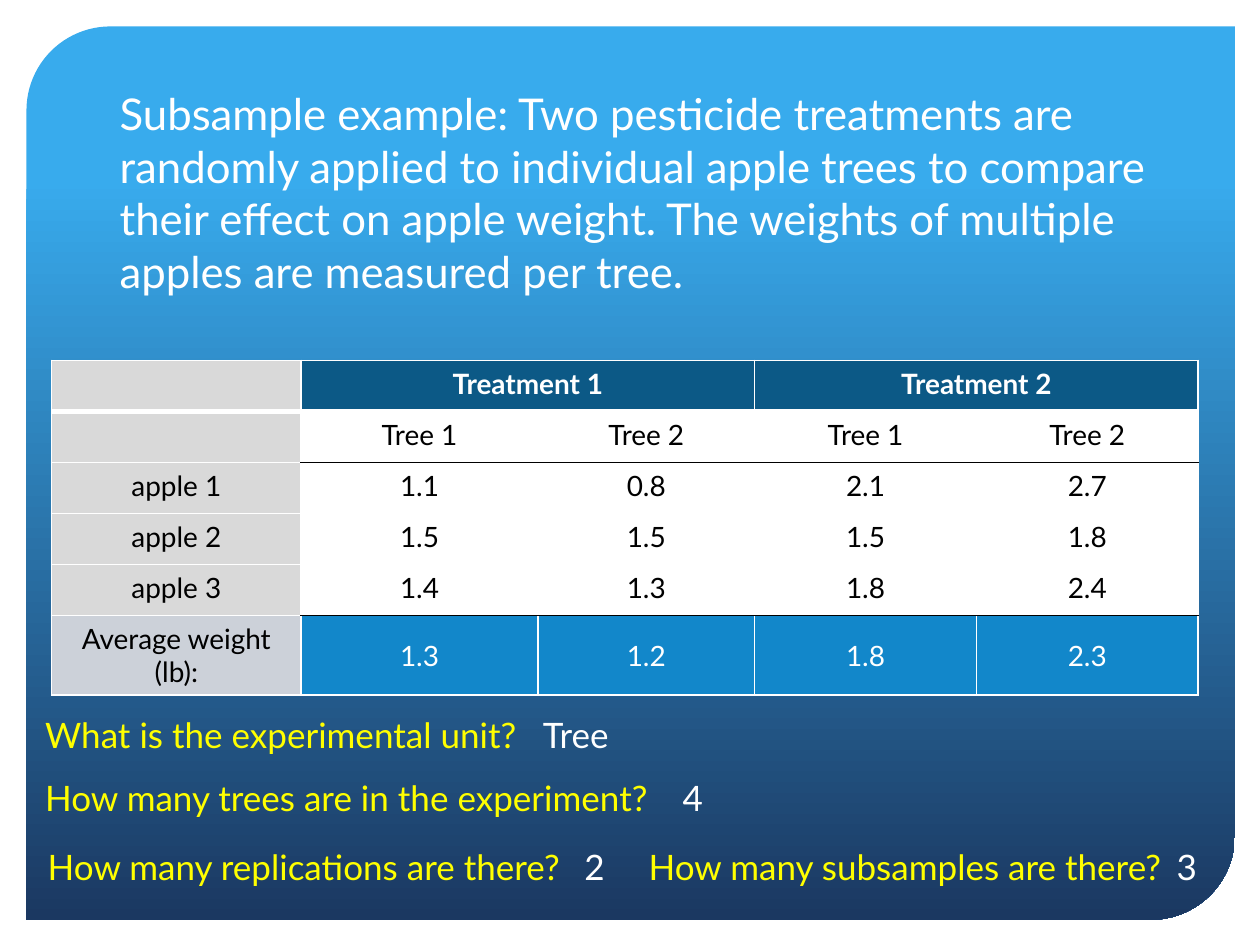
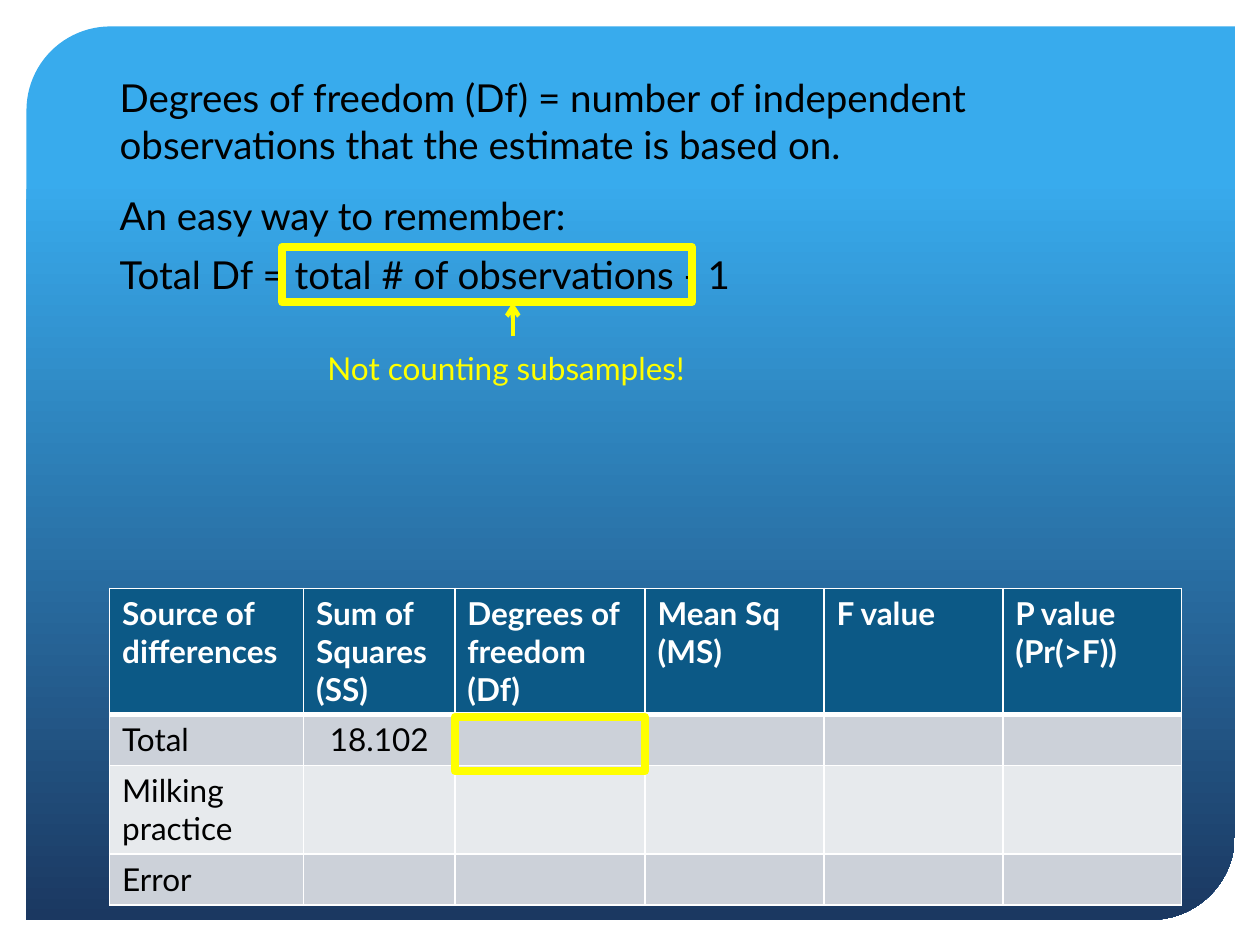
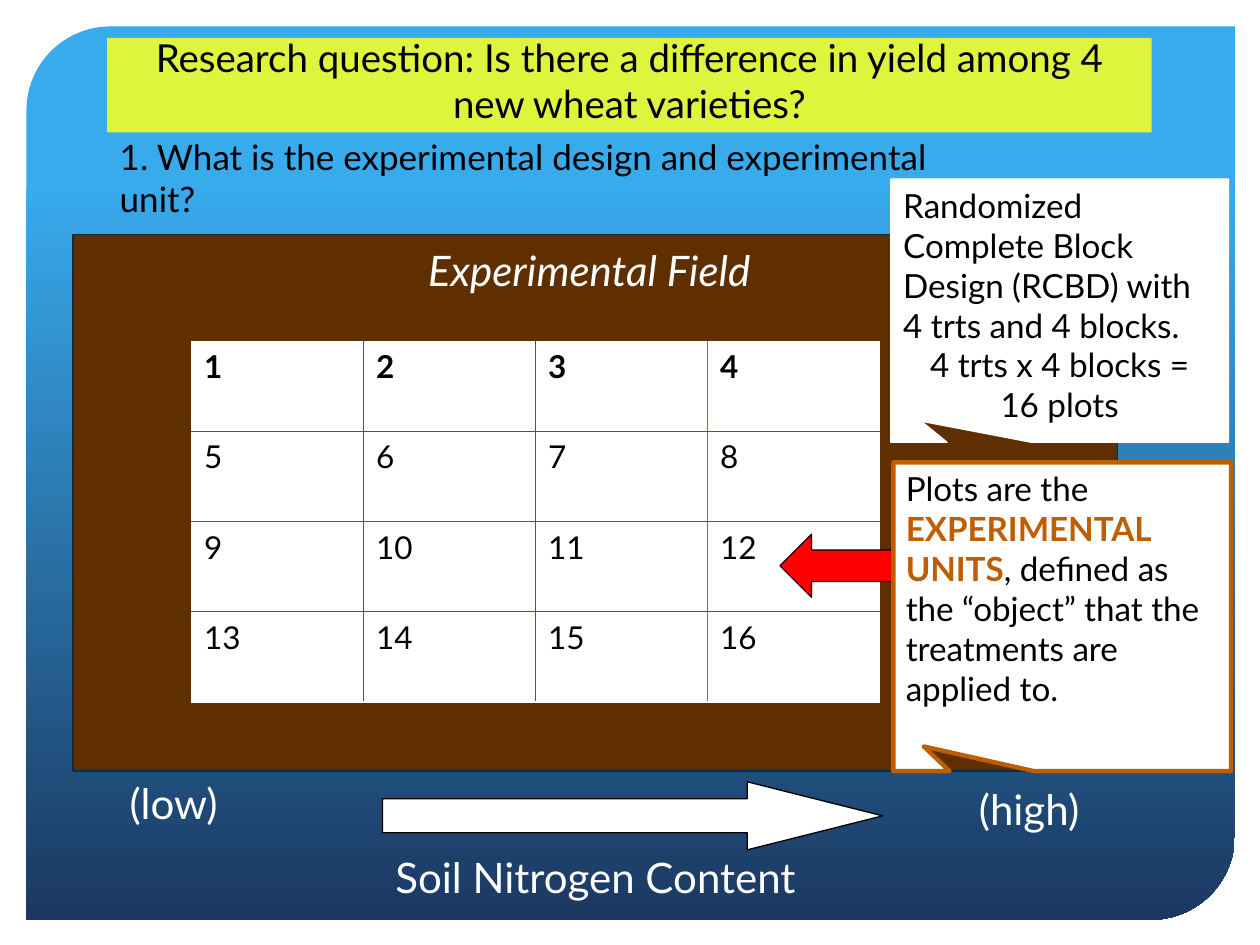
from dataclasses import dataclass

from lxml.etree import SubElement
from pptx import Presentation
from pptx.dml.color import RGBColor
from pptx.enum.shapes import MSO_CONNECTOR, MSO_SHAPE
from pptx.enum.text import MSO_ANCHOR, MSO_AUTO_SIZE, PP_ALIGN
from pptx.oxml.ns import qn
from pptx.util import Inches, Pt


@dataclass(frozen=True)
class Theme:
    font: str = "Lato"
    white: str = "FFFFFF"
    black: str = "000000"
    yellow: str = "FFFF00"
    red: str = "FF0000"
    lime: str = "DDF53D"
    sky: str = "38ABED"
    navy: str = "1B3861"
    header: str = "0C5986"
    average: str = "1287CA"
    label: str = "D9D9D9"
    band_dark: str = "CCD1D9"
    band_light: str = "E7EAED"
    soil: str = "602F00"
    soil_edge: str = "062D43"
    plot_edge: str = "8F4600"
    orange: str = "BF5E00"
    intro: float = 25
    caption: float = 24
    title: float = 22
    question: float = 20
    callout: float = 19
    table: float = 18
    small_table: float = 16


T = Theme()


@dataclass(frozen=True)
class Box:
    x: float
    y: float
    w: float
    h: float

    def sub(self, dx, dy, w, h):
        return Box(self.x + dx, self.y + dy, w, h)

    def emu(self):
        return [Inches(v) for v in (self.x, self.y, self.w, self.h)]


PANEL = Box(0.21, 0.21, 9.59, 7.09)


def rgb(value):
    return RGBColor.from_string(value)


def write(tf, text, size=T.question, color=T.white, bold=False, italic=False,
          align=PP_ALIGN.LEFT, before=0):
    p = tf.add_paragraph() if tf.text else tf.paragraphs[0]
    p.alignment = align
    p.space_before = Pt(before)
    runs = [(text, {})] if isinstance(text, str) else text
    for content, change in runs:
        r = p.add_run()
        r.text = content
        r.font.name = T.font
        r.font.size = Pt(size)
        r.font.bold = change.get("bold", bold)
        r.font.italic = italic
        r.font.color.rgb = rgb(change.get("color", color))
    return p


def add_text(slide, box, text, wrap=True, **fmt):
    tf = slide.shapes.add_textbox(*box.emu()).text_frame
    tf.word_wrap = wrap
    tf.auto_size = MSO_AUTO_SIZE.SHAPE_TO_FIT_TEXT
    write(tf, text, **fmt)


def add_shape(slide, kind, box, fill=None, line=None, width=0.75, adj=(), rotation=0):
    sp = slide.shapes.add_shape(kind, *box.emu())
    sp.shadow.inherit = False
    sp.rotation = rotation
    for i, value in enumerate(adj):
        sp.adjustments[i] = value
    if fill:
        sp.fill.solid()
        sp.fill.fore_color.rgb = rgb(fill)
    else:
        sp.fill.background()
    if line:
        sp.line.color.rgb = rgb(line)
        sp.line.width = Pt(width)
    else:
        sp.line.fill.background()
    return sp


def place(sp, box, anchor):
    sp.left, sp.top, sp.width, sp.height = box.emu()
    tf = sp.text_frame
    tf.word_wrap = True
    tf.auto_size = MSO_AUTO_SIZE.NONE
    tf.vertical_anchor = anchor
    return tf


def fill_body(slide, box, lines, anchor=MSO_ANCHOR.TOP, **fmt):
    tf = place(slide.placeholders[1], box, anchor)
    for text, before in lines:
        pPr = write(tf, text, before=before, **fmt)._p.get_or_add_pPr()
        pPr.set("marL", "0")
        pPr.set("indent", "0")
        SubElement(pPr, qn("a:buNone"))


def set_edges(cell, edges):
    tcPr = cell._tc.get_or_add_tcPr()
    for side in "LRTB":
        color, width = edges.get(side, (T.white, 1))
        ln = SubElement(tcPr, qn(f"a:ln{side}"), w=str(Pt(width)))
        SubElement(SubElement(ln, qn("a:solidFill")), qn("a:srgbClr"), val=color)


def add_grid(slide, box, widths, rows, style, size=T.table, merges=()):
    table = slide.shapes.add_table(len(rows), len(widths), *box.emu()).table
    table.first_row = table.horz_banding = False
    for column, width in zip(table.columns, widths):
        column.width = Inches(width)
    for i, row in enumerate(rows):
        table.rows[i].height = Inches(box.h / len(rows))
        for j, text in enumerate(row):
            cell = table.cell(i, j)
            fill, edges, fmt = style(i, j)
            set_edges(cell, edges)
            cell.fill.solid()
            cell.fill.fore_color.rgb = rgb(fill)
            for line in text.split("\n") if text else ():
                write(cell.text_frame, line, size=size, **fmt)
    for i, first, last in merges:
        table.cell(i, first).merge(table.cell(i, last))
    return table


def weight_style(i, j):
    rule = (T.black, 1)
    fmt = dict(color=T.black, align=PP_ALIGN.CENTER)
    if i == 0:
        fmt.update(color=T.white, bold=True)
        return T.header if j else T.label, {"B": (T.white, 3)}, fmt
    if j == 0:
        edges = {"T": (T.white, 3)} if i == 1 else {}
        return T.band_dark if i == 5 else T.label, edges, fmt
    edges = {}
    if i in (1, 4):
        edges["B"] = rule
    if i in (2, 5):
        edges["T"] = rule
    if i == 5:
        fmt["color"] = T.white
    return T.average if i == 5 else T.white, edges, fmt


def weight_table(slide, box):
    rows = [
        ["", "Treatment 1", "", "Treatment 2", ""],
        ["", "Tree 1", "Tree 2", "Tree 1", "Tree 2"],
        ["apple 1", "1.1", "0.8", "2.1", "2.7"],
        ["apple 2", "1.5", "1.5", "1.5", "1.8"],
        ["apple 3", "1.4", "1.3", "1.8", "2.4"],
        ["Average weight (lb):", "1.3", "1.2", "1.8", "2.3"],
    ]
    table = add_grid(slide, box, [1.98, 1.88, 1.72, 1.76, 1.76], rows, weight_style,
                     size=T.small_table, merges=[(0, 1, 2), (0, 3, 4)])
    for j in range(1, 5):
        cell = table.cell(5, j)
        cell.vertical_anchor = MSO_ANCHOR.MIDDLE
        cell.margin_left = cell.margin_right = cell.margin_top = Inches(0.01)
        cell.margin_bottom = 0


def quiz(slide, box):
    items = [
        (0, 0, 4.4, "What is the experimental unit?", 3.95, 0.99, "Tree"),
        (0, 0.5, 5.17, "How many trees are in the experiment?", 5.06, 0.35, "4"),
        (0.02, 1.05, 4.42, "How many replications are there?", 4.28, 0.35, "2"),
        (4.79, 1.05, 4.37, "How many subsamples are there?", 8.98, 0.35, "3"),
    ]
    for x, y, w, question, answer_x, answer_w, answer in items:
        add_text(slide, box.sub(x, y, w, 0.44), question, wrap=False, color=T.yellow)
        add_text(slide, box.sub(answer_x, y, answer_w, 0.44), answer, wrap=False)


def anova_style(i, j):
    if i == 0:
        return T.header, {"B": (T.white, 3)}, dict(bold=True)
    edges = {"T": (T.white, 3)} if i == 1 else {}
    align = PP_ALIGN.CENTER if j == 1 else PP_ALIGN.LEFT
    fill = T.band_dark if i % 2 else T.band_light
    return fill, edges, dict(color=T.black, align=align)


def anova_table(slide, box):
    rows = [
        ["Source of differences", "Sum of Squares\n(SS)", "Degrees of freedom (Df)",
         "Mean Sq\n(MS)", "F value", "P value\n(Pr(>F))"],
        ["Total", "18.102"] + [""] * 4,
        ["Milking practice"] + [""] * 5,
        ["Error"] + [""] * 5,
    ]
    add_grid(slide, box, [1.54, 1.2, 1.51, 1.42, 1.42, 1.42], rows, anova_style)
    highlight(slide, box.sub(2.74, 1.02, 1.51, 0.43))


def highlight(slide, box):
    add_shape(slide, MSO_SHAPE.RECTANGLE, box, line=T.yellow, width=4.5)


def df_rule(slide, box):
    fill_body(slide, box, [
        ("Degrees of freedom (Df) = number of independent observations that the "
         "estimate is based on.", 0),
        ("An easy way to remember:", 14.4),
        ("Total Df = total # of observations - 1", 7.2),
    ], size=T.title, color=T.black)
    highlight(slide, box.sub(1.39, 1.42, 3.25, 0.44))
    add_text(slide, box.sub(1.65, 2.18, 3.89, 0.4), "Not counting subsamples!",
             size=T.table, color=T.yellow)
    x = Inches(box.x + 3.22)
    arrow = slide.shapes.add_connector(MSO_CONNECTOR.STRAIGHT, x, Inches(box.y + 2.13),
                                       x, Inches(box.y + 1.86))
    arrow.line.color.rgb = rgb(T.yellow)
    arrow.line.width = Pt(2.5)
    SubElement(arrow.line._get_or_add_ln(), qn("a:tailEnd"), type="arrow")
    SubElement(arrow._element.spPr, qn("a:effectLst"))


def plot_style(i, j):
    def vertical(k):
        return {0: T.white, 3: T.orange, 4: T.white}.get(k, T.plot_edge)

    def horizontal(k):
        return T.white if k in (0, 4) else T.plot_edge

    edges = {"L": (vertical(j), 1), "R": (vertical(j + 1), 1),
             "T": (horizontal(i), 1), "B": (horizontal(i + 1), 1)}
    return T.white, edges, dict(color=T.black, bold=i == 0)


def field(slide, box):
    add_shape(slide, MSO_SHAPE.RECTANGLE, box, T.soil, T.soil_edge)
    add_text(slide, box.sub(2.72, 0.03, 3.43, 0.5), "Experimental Field",
             size=T.caption, italic=True)
    plots = [[str(4 * i + j + 1) for j in range(4)] for i in range(4)]
    grid = box.sub(0.94, 0.85, 5.46, 2.86)
    add_grid(slide, grid, [grid.w / 4] * 4, plots, plot_style)


def nitrogen_scale(slide, box):
    add_shape(slide, MSO_SHAPE.UP_ARROW, box.sub(3.82, -1.63, 0.54, 3.97), T.white,
              T.black, adj=(0.5, 1.99), rotation=90)
    for x, y, w, text in [(2.11, 0.59, 3.43, "Soil Nitrogen Content"),
                          (0, 0, 1.04, "(low)"), (6.74, 0.05, 1.24, "(high)")]:
        add_text(slide, box.sub(x, y, w, 0.5), text, size=T.caption)


def callout(slide, box, line, width, paragraphs):
    sp = add_shape(slide, MSO_SHAPE.RECTANGULAR_CALLOUT, box, T.white, line, width,
                   adj=(-0.41, 0.42))
    tf = sp.text_frame
    tf.word_wrap = True
    tf.vertical_anchor = MSO_ANCHOR.TOP
    for text, align in paragraphs:
        write(tf, text, size=T.callout, color=T.black, align=align)


def answers(slide, box):
    callout(slide, box.sub(0, 0, 2.68, 2.09), T.white, 0.75, [
        ("Randomized Complete Block Design (RCBD) with 4 trts and 4 blocks.", PP_ALIGN.LEFT),
        ("4 trts x 4 blocks =", PP_ALIGN.CENTER),
        ("16 plots", PP_ALIGN.CENTER),
    ])
    add_shape(slide, MSO_SHAPE.UP_ARROW, box.sub(-0.57, 2.51, 0.5, 1.12), T.red,
              T.black, rotation=270)
    callout(slide, box.sub(0.02, 2.25, 2.68, 2.45), T.orange, 2.5, [
        ([("Plots are the ", {}),
          ("EXPERIMENTAL UNITS", dict(color=T.orange, bold=True)),
          (", defined as the “object” that the treatments are applied to.", {})],
         PP_ALIGN.LEFT),
    ])


def banner(slide, box, text):
    sp = slide.shapes.title
    tf = place(sp, box, MSO_ANCHOR.BOTTOM)
    sp.fill.solid()
    sp.fill.fore_color.rgb = rgb(T.lime)
    write(tf, text, size=T.title, color=T.black, align=PP_ALIGN.CENTER)


def add_panel(prs, slide):
    sp = add_shape(slide, MSO_SHAPE.ROUND_2_DIAG_RECTANGLE, PANEL, adj=(0.094, 0))
    sp.fill.gradient()
    sp.fill.gradient_angle = 270
    for stop, color, position in zip(sp.fill.gradient_stops, (T.sky, T.navy), (0.17, 1)):
        stop.color.rgb = rgb(color)
        stop.position = position
    prs.slide_master.shapes[0]._element.addprevious(sp._element)


def new_slide(prs, titled=False):
    slide = prs.slides.add_slide(prs.slide_layouts[1])
    if not titled:
        title = slide.shapes.title._element
        title.getparent().remove(title)
    return slide


def subsample_slide(prs):
    slide = new_slide(prs)
    add_panel(prs, slide)
    fill_body(slide, Box(0.85, 0.64, 8.64, 2.2), [
        ("Subsample example: Two pesticide treatments are randomly applied to individual "
         "apple trees to compare their effect on apple weight. The weights of multiple "
         "apples are measured per tree.", 0)], size=T.intro)
    weight_table(slide, Box(0.41, 2.86, 9.1, 2.43))
    quiz(slide, Box(0.26, 5.61, 9.33, 1.49))


def freedom_slide(prs):
    slide = new_slide(prs)
    anova_table(slide, Box(0.87, 4.67, 8.51, 1.62))
    df_rule(slide, Box(0.85, 0.54, 8.05, 2.26))


def wheat_slide(prs):
    slide = new_slide(prs, titled=True)
    banner(slide, Box(0.85, 0.3, 8.29, 0.75),
           "Research question: Is there a difference in yield among 4 new wheat varieties?")
    fill_body(slide, Box(0.85, 0.65, 6.82, 1.14),
              [("1. What is the experimental design and experimental unit?", 0)],
              anchor=MSO_ANCHOR.BOTTOM, color=T.black)
    field(slide, Box(0.58, 1.86, 8.29, 4.26))
    nitrogen_scale(slide, Box(0.93, 6.12, 7.98, 1.09))
    answers(slide, Box(7.07, 1.42, 2.7, 4.7))


def main():
    prs = Presentation()
    prs.slide_width, prs.slide_height = Inches(10), Inches(7.5)
    subsample_slide(prs)
    freedom_slide(prs)
    wheat_slide(prs)
    prs.save("out.pptx")


if __name__ == "__main__":
    main()
